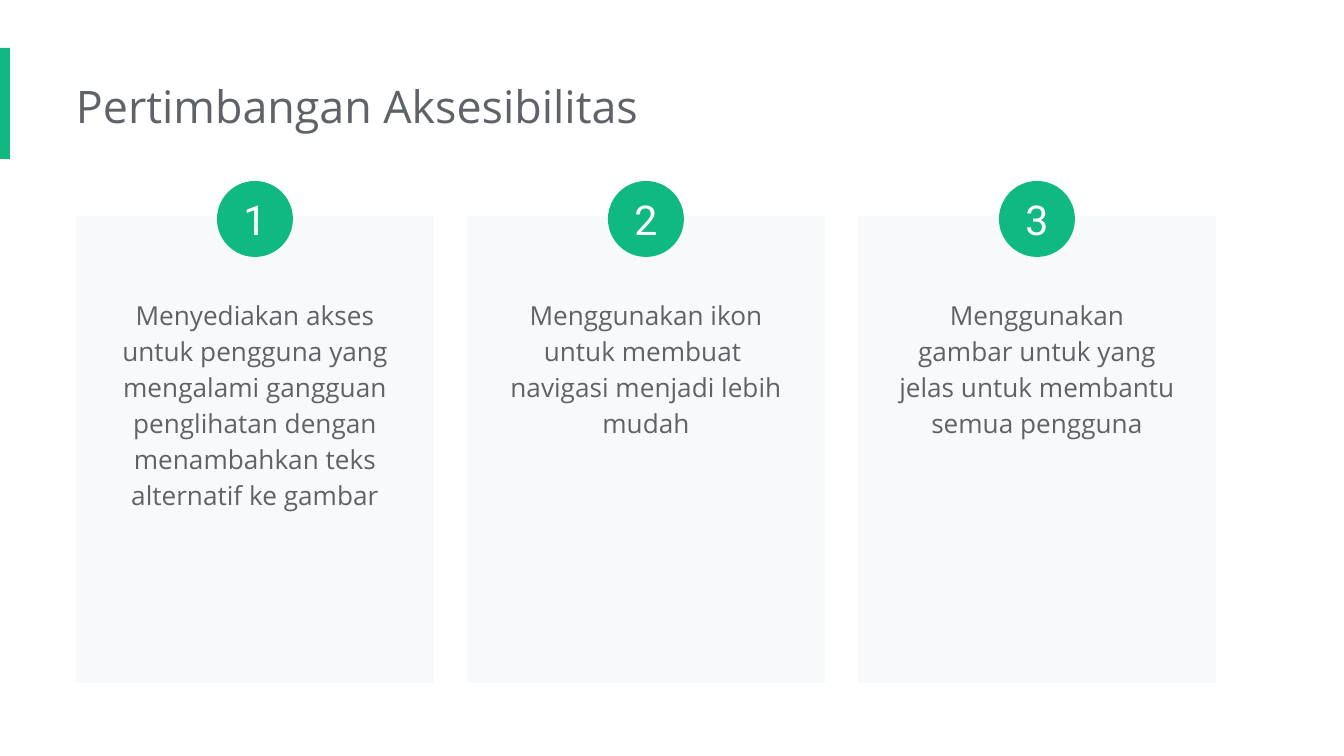
from pptx import Presentation
from pptx.dml.color import RGBColor
from pptx.enum.shapes import MSO_SHAPE
from pptx.enum.text import MSO_ANCHOR, PP_ALIGN
from pptx.util import Pt

RECT, OVAL = MSO_SHAPE.RECTANGLE, MSO_SHAPE.OVAL
CENTER, LEFT = PP_ALIGN.CENTER, PP_ALIGN.LEFT
MIDDLE = MSO_ANCHOR.MIDDLE
PX = 914400 / 134.4
GREEN, GRAY, PALE, WHITE = "10B981", "5F6368", "F8F9FA", "FFFFFF"


def add_box(kind, x, y, w, h, fill=None):
    """Add a filled preset shape, or a text box when kind is None."""
    box = [round(v * PX) for v in (x, y, w, h)]
    if kind is None:
        return slide.shapes.add_textbox(*box)
    sp = slide.shapes.add_shape(kind, *box)
    sp.shadow.inherit = False
    sp.fill.solid()
    sp.fill.fore_color.rgb = RGBColor.from_string(fill)
    sp.line.fill.background()
    return sp


def set_text(sp, text, size, font, color, align, insets, spacing=None):
    tf = sp.text_frame
    tf.word_wrap = True
    tf.margin_left, tf.margin_top, tf.margin_right, tf.margin_bottom = [
        round(v * PX) for v in insets]
    tf.text = text
    for p in tf.paragraphs:
        p.alignment = align
        if spacing:
            p.line_spacing = spacing
        for r in p.runs:
            r.font.size = Pt(size)
            r.font.name = font
            r.font.color.rgb = RGBColor.from_string(color)


prs = Presentation()
prs.slide_width, prs.slide_height = round(1344 * PX), round(756 * PX)
slide = prs.slides.add_slide(prs.slide_layouts[6])

# Accent bar and title
add_box(RECT, 0, 48, 10, 111, GREEN)
title = add_box(None, 76, 66, 1030, 82)
set_text(title, "Pertimbangan Aksesibilitas", 24, "Open Sans", GRAY, LEFT,
         (0, 13, 13, 13))

# Numbered cards
cards = [
    "Menyediakan akses\nuntuk pengguna yang mengalami gangguan penglihatan "
    "dengan menambahkan teks alternatif ke gambar",
    "Menggunakan ikon untuk membuat \nnavigasi menjadi lebih mudah",
    "Menggunakan\ngambar untuk yang jelas untuk membantu semua pengguna",
]
card_w, text_w, badge_w, pitch = 358, 302, 76, 391
for i, text in enumerate(cards):
    x = 76 + i * pitch
    add_box(RECT, x, 216, card_w, 467, PALE)
    body = add_box(None, x + (card_w - text_w) // 2, 282, text_w, 313)
    set_text(body, text, 14, "Open Sans", GRAY, CENTER, (13, 13, 13, 13), 1.15)
    badge = add_box(OVAL, x + (card_w - badge_w) // 2, 181, badge_w, badge_w, GREEN)
    set_text(badge, str(i + 1), 22, "Roboto", WHITE, CENTER, (0, 0, 0, 0))
    badge.text_frame.vertical_anchor = MIDDLE

prs.save("out.pptx")
